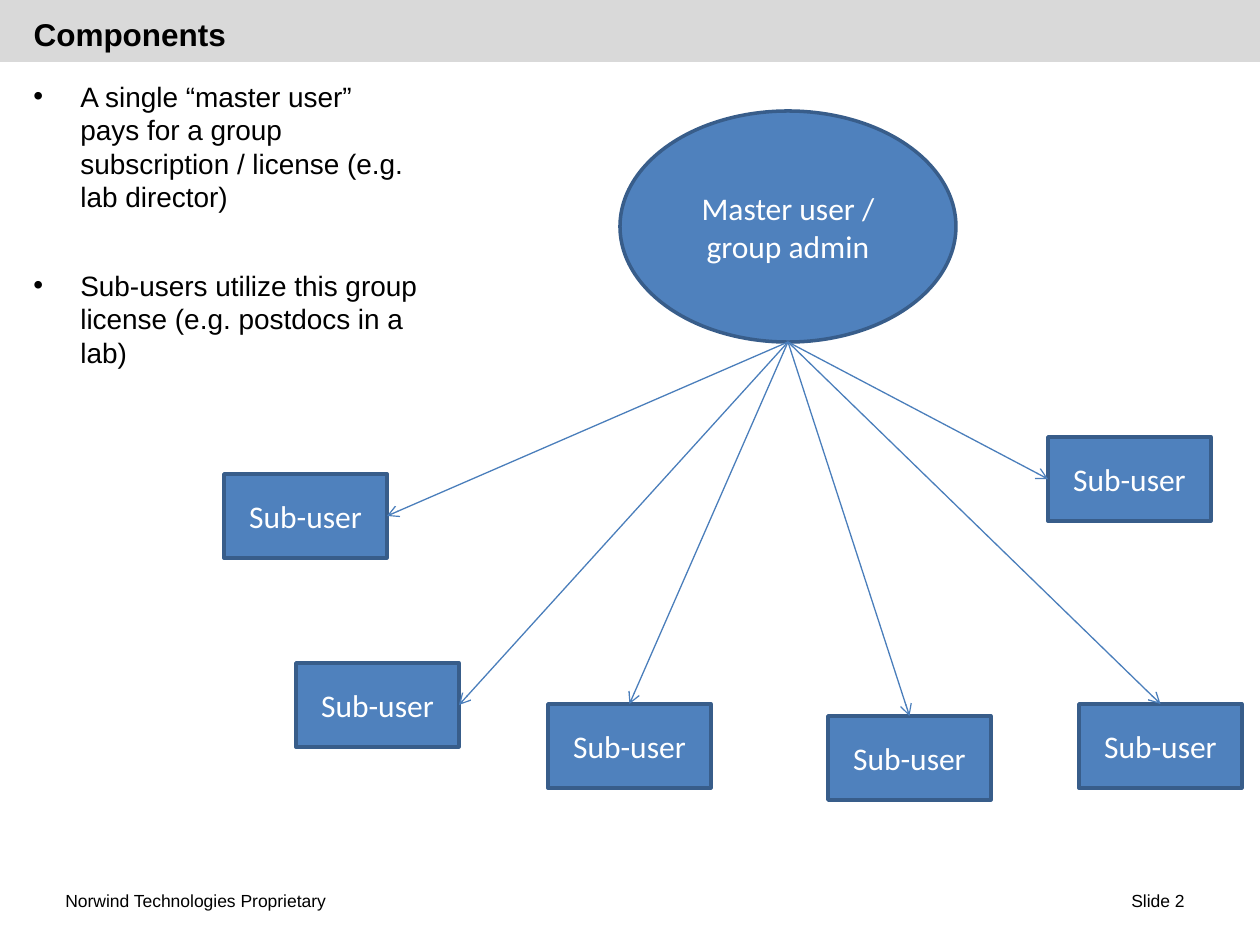
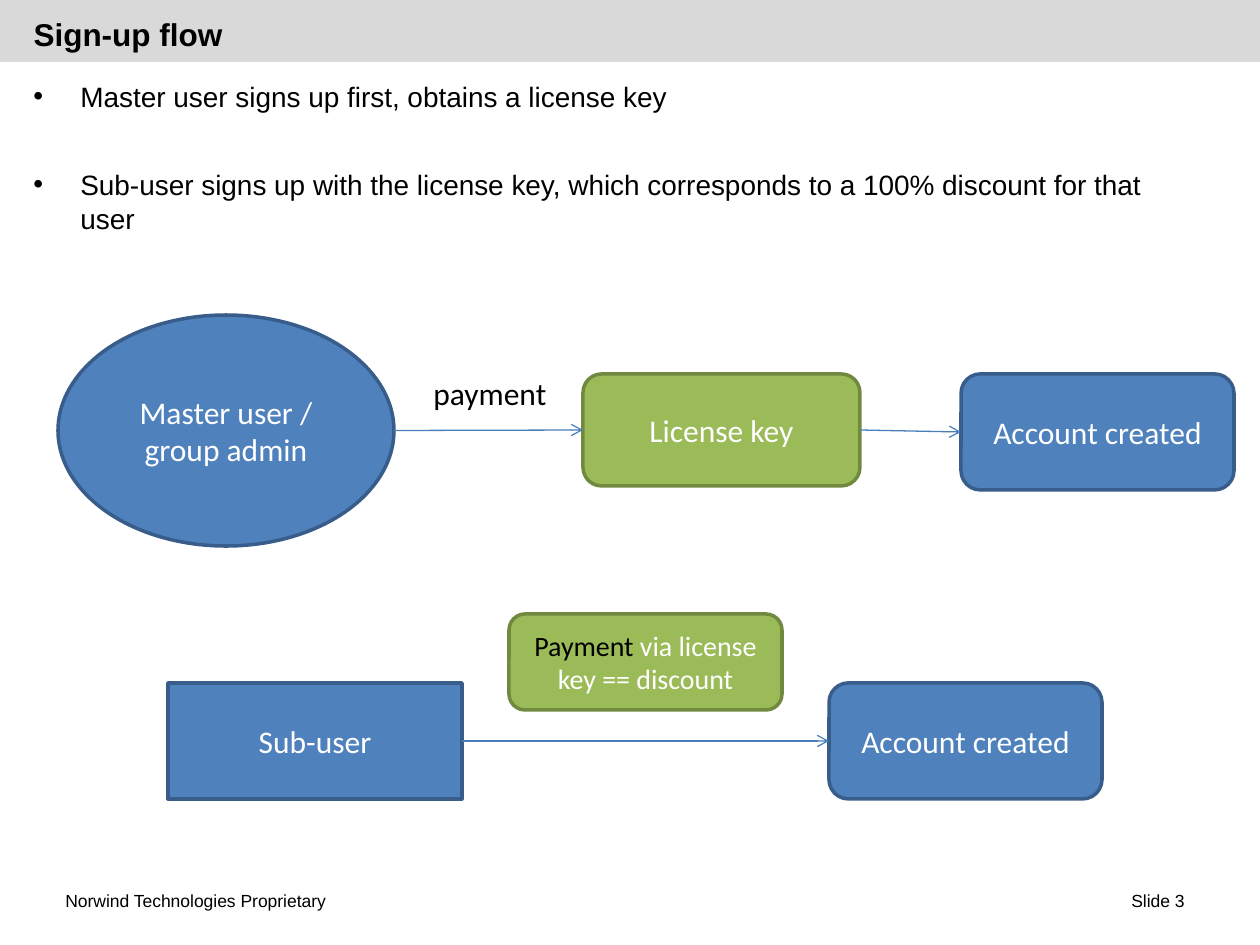
import pptx
import pptx.util
import pptx.dml.color
import pptx.enum.shapes
import pptx.enum.text
import pptx.oxml
import pptx.oxml.ns

COLORS = {
    "black": "000000", "white": "FFFFFF", "band": "D9D9D9", "arrow": "4A7EBB",
    "blue": "4F81BD", "blue edge": "385D8A",
    "green": "9BBB59", "green edge": "71893F",
}
EMU_PER_PX = 914400 / 126
SLIDE_SIZE = (1260, 945)
TOP, LEFT, BOTTOM, RIGHT = range(4)

SHAPES = pptx.enum.shapes.MSO_SHAPE
ALIGN = pptx.enum.text.PP_ALIGN
ANCHOR = pptx.enum.text.MSO_ANCHOR


def px(length):
    return pptx.util.Emu(round(length * EMU_PER_PX))


def color(name):
    return pptx.dml.color.RGBColor.from_string(COLORS[name])


def drawing_element(tag, attributes=""):
    namespace = pptx.oxml.ns.nsdecls("a")
    return pptx.oxml.parse_xml(f"<a:{tag} {namespace} {attributes}/>")


class Deck:
    text_font = "Arial"
    diagram_font = "Calibri"
    footer = "Norwind Technologies Proprietary"

    def __init__(self):
        self.presentation = pptx.Presentation()
        self.presentation.slide_width, self.presentation.slide_height = map(px, SLIDE_SIZE)
        self.slide = None

    def style_runs(self, paragraph, size, font, color_name, bold=False):
        for run in paragraph.runs:
            run.font.size = pptx.util.Pt(size)
            run.font.name = font
            run.font.bold = bold
            run.font.color.rgb = color(color_name)

    def add_slide(self, title, number):
        layout = self.presentation.slide_layouts.get_by_name("Title Only")
        self.slide = self.presentation.slides.add_slide(layout)

        # Band behind the title
        band = self.slide.shapes.add_shape(SHAPES.RECTANGLE, *map(px, (0, -1, 1260, 63)))
        band.shadow.inherit = False
        band.fill.solid()
        band.fill.fore_color.rgb = color("band")
        band.line.fill.background()
        self.slide.shapes.title._element.addprevious(band._element)

        # Title
        placeholder = self.slide.shapes.title
        placeholder.left, placeholder.top, placeholder.width, placeholder.height = map(
            px, (21, 10, 1134, 47))
        frame = placeholder.text_frame
        frame.text = title
        frame.auto_size = pptx.enum.text.MSO_AUTO_SIZE.NONE
        frame.vertical_anchor = ANCHOR.MIDDLE
        frame.paragraphs[0].alignment = ALIGN.LEFT
        self.style_runs(frame.paragraphs[0], 18, self.text_font, "black", bold=True)

        # Footer
        self.text(self.footer, (53, 876, 399, 50), 10, self.text_font, anchor=ANCHOR.MIDDLE)
        self.text(f"Slide {number}", (903, 876, 294, 50), 10, self.text_font,
                  ALIGN.RIGHT, ANCHOR.MIDDLE)

    def text(self, words, place, size, font, alignment=ALIGN.LEFT, anchor=ANCHOR.TOP):
        shape = self.slide.shapes.add_textbox(*map(px, place))
        frame = shape.text_frame
        frame.word_wrap = True
        frame.vertical_anchor = anchor
        frame.text = words
        for paragraph in frame.paragraphs:
            paragraph.alignment = alignment
            self.style_runs(paragraph, size, font, "black")
        return shape

    def bullets(self, items, place):
        shape = self.text("\n".join(items), place, 16, self.text_font)
        for index, paragraph in enumerate(shape.text_frame.paragraphs):
            paragraph.space_before = pptx.util.Pt(31.3 if index else 6)
            properties = paragraph._p.get_or_add_pPr()
            properties.set("marL", str(px(47)))
            properties.set("indent", str(px(-47)))
            properties.append(drawing_element("buFont", f'typeface="{self.text_font}"'))
            properties.append(drawing_element("buChar", 'char="•"'))

    def box(self, words, place, kind=SHAPES.RECTANGLE, fill="blue", size=18):
        shape = self.slide.shapes.add_shape(kind, *map(px, place))
        shape.shadow.inherit = False
        shape.fill.solid()
        shape.fill.fore_color.rgb = color(fill)
        shape.line.color.rgb = color(f"{fill} edge")
        shape.line.width = pptx.util.Pt(2)
        frame = shape.text_frame
        frame.word_wrap = True
        frame.vertical_anchor = ANCHOR.MIDDLE
        frame.text = words
        frame.paragraphs[0].alignment = ALIGN.CENTER
        self.style_runs(frame.paragraphs[0], size, self.diagram_font, "white")
        return shape

    def master_user(self, left, top):
        return self.box("Master user / group admin", (left, top, 336, 231), SHAPES.OVAL)

    def account(self, left, top):
        return self.box("Account created", (left, top, 273, 116), SHAPES.ROUNDED_RECTANGLE)

    def arrow(self, begin, begin_side, end, end_side):
        connector = self.slide.shapes.add_connector(
            pptx.enum.shapes.MSO_CONNECTOR.STRAIGHT,
            *self.side_middle(begin, begin_side), *self.side_middle(end, end_side))
        # Ellipses number their connection sites differently
        if begin.auto_shape_type != SHAPES.OVAL:
            connector.begin_connect(begin, begin_side)
        connector.end_connect(end, end_side)
        connector.line.color.rgb = color("arrow")
        connector.line.width = pptx.util.Pt(0.75)
        connector.line._get_or_add_ln().append(drawing_element("tailEnd", 'type="arrow"'))
        connector._element.spPr.append(drawing_element("effectLst"))

    @staticmethod
    def side_middle(shape, side):
        across, down = {TOP: (1, 0), LEFT: (0, 1), BOTTOM: (1, 2), RIGHT: (2, 1)}[side]
        return shape.left + shape.width * across // 2, shape.top + shape.height * down // 2


def add_components(deck):
    deck.add_slide("Components", 2)
    deck.bullets([
        "A single “master user” pays for a group subscription / license (e.g. lab director)",
        "Sub-users utilize this group license (e.g. postdocs in a lab)",
    ], (21, 73, 410, 305))

    # Master user and the sub-users it serves
    master = deck.master_user(620, 111)
    sub_users = [
        (224, 474, RIGHT), (296, 663, RIGHT), (548, 704, TOP),
        (828, 716, TOP), (1079, 704, TOP), (1048, 437, LEFT),
    ]
    for left, top, side in sub_users:
        sub_user = deck.box("Sub-user", (left, top, 163, 84))
        deck.arrow(master, BOTTOM, sub_user, side)


def add_sign_up_flow(deck):
    deck.add_slide("Sign-up flow", 3)
    deck.bullets([
        "Master user signs up first, obtains a license key",
        "Sub-user signs up with the license key, which corresponds to a 100% discount"
        " for that user",
    ], (21, 73, 1176, 221))

    # Master user's path
    master = deck.master_user(58, 315)
    license_key = deck.box("License key", (583, 374, 277, 112),
                           SHAPES.ROUNDED_RECTANGLE, "green")
    master_account = deck.account(961, 374)
    deck.arrow(master, RIGHT, license_key, LEFT)
    deck.arrow(license_key, RIGHT, master_account, LEFT)
    deck.text("payment", (421, 368, 147, 50), 18, deck.diagram_font)

    # Sub-user's path
    sub_user = deck.box("Sub-user", (168, 683, 294, 116))
    sub_account = deck.account(829, 683)
    deck.arrow(sub_user, RIGHT, sub_account, LEFT)
    discount = deck.box("Payment", (509, 614, 273, 96),
                        SHAPES.ROUNDED_RECTANGLE, "green", 16)
    paragraph = discount.text_frame.paragraphs[0]
    paragraph.add_run().text = " via license key == discount"
    deck.style_runs(paragraph, 16, deck.diagram_font, "white")
    paragraph.runs[0].font.color.rgb = color("black")


def main():
    deck = Deck()
    add_components(deck)
    add_sign_up_flow(deck)
    deck.presentation.save("out.pptx")


if __name__ == "__main__":
    main()
